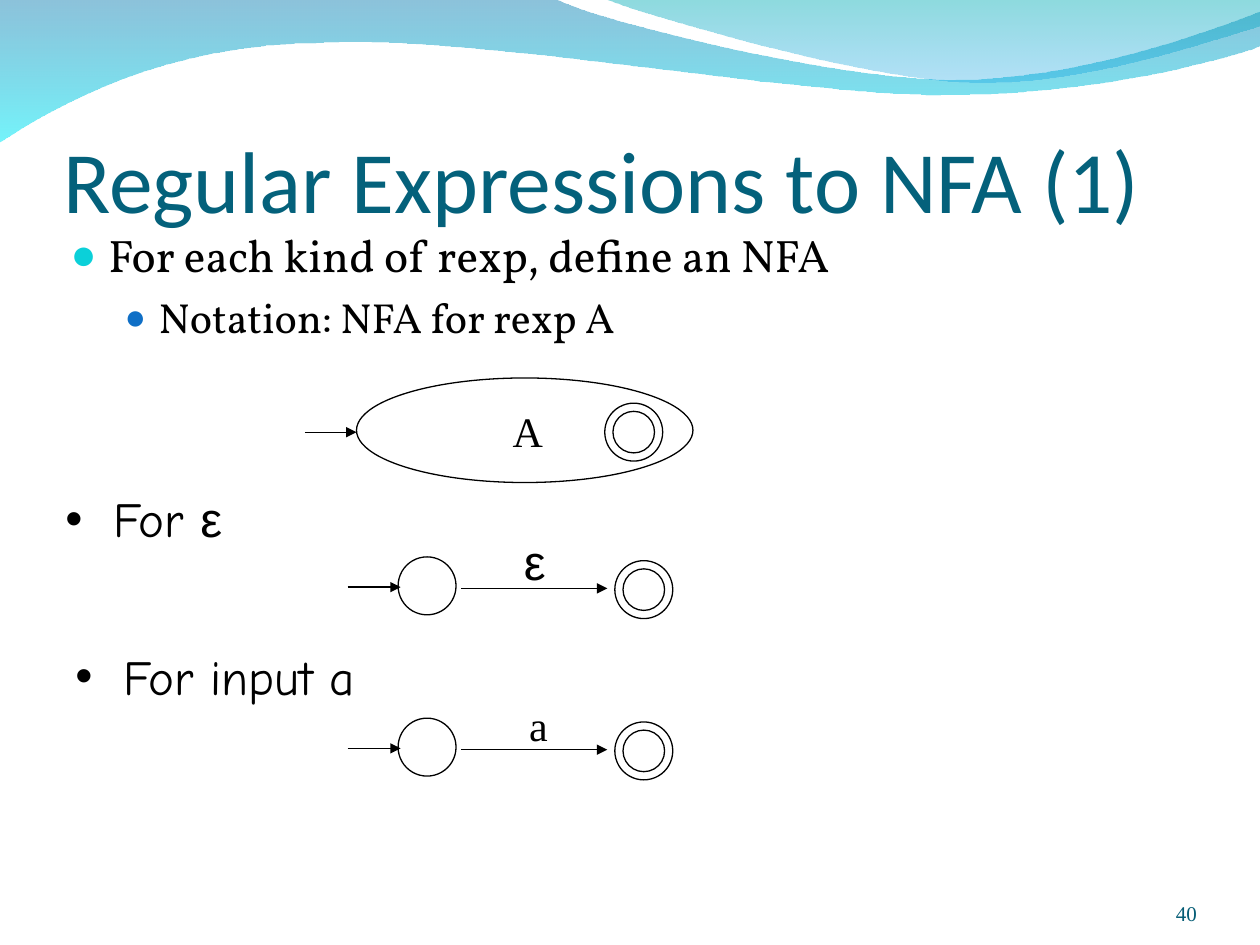
from lxml import etree
from pptx import Presentation
from pptx.dml.color import RGBColor
from pptx.enum.shapes import MSO_CONNECTOR, MSO_SHAPE
from pptx.enum.text import MSO_ANCHOR, MSO_AUTO_SIZE, PP_ALIGN
from pptx.oxml.ns import qn
from pptx.util import Inches, Pt

STRAIGHT, OVAL = MSO_CONNECTOR.STRAIGHT, MSO_SHAPE.OVAL
BOTTOM, TOP = MSO_ANCHOR.BOTTOM, MSO_ANCHOR.TOP
LEFT, RIGHT = PP_ALIGN.LEFT, PP_ALIGN.RIGHT
NO_FIT = MSO_AUTO_SIZE.NONE

THEME = {
    "ink": RGBColor.from_string("000000"),
    "title": {"name": "Calibri", "size": Pt(50), "color": "04617B"},
    "body": {"name": "Vollkorn", "size": Pt(26), "color": "000000"},
    "sub": {"name": "Vollkorn", "size": Pt(24), "color": "000000"},
    "case": {"name": "Comic Neue", "size": Pt(28), "color": "000000"},
    "epsilon": {"name": "Arial", "size": Pt(28), "color": "000000"},
    "symbol": {"name": "Times New Roman", "size": Pt(24), "color": "000000"},
    "number": {"name": "Times New Roman", "size": Pt(12), "color": "045C75"},
    "bullets": ("0BD0D9", "0F6FC6", "000000"),
    "wave": (("0079AF", 45), ("00EBF8", 55)),
    "crest": (("00ADB6", 45), ("009BE5", 30)),
    "line": Pt(0.75),
}


def write(tf, paragraphs, **frame):
    """Fill a text frame; a paragraph is (runs, format, bullet), a run (text, style).

    A bullet is (sign, colour, size in percent, left margin, hanging indent).
    """
    frame = {"auto_size": NO_FIT, "word_wrap": True, "vertical_anchor": TOP} | frame
    for name, value in frame.items():
        setattr(tf, name, value)
    for i, (runs, fmt, bullet) in enumerate(paragraphs):
        p = tf.add_paragraph() if i else tf.paragraphs[0]
        for name, value in fmt.items():
            setattr(p, name, value)
        if bullet:
            sign, color, percent, margin, hanging = bullet
            pPr = p._p.get_or_add_pPr()
            pPr.set("marL", str(Inches(margin)))
            pPr.set("indent", str(-Inches(hanging)))
            buClr = etree.SubElement(pPr, qn("a:buClr"))
            etree.SubElement(buClr, qn("a:srgbClr"), val=color)
            etree.SubElement(pPr, qn("a:buSzPct"), val=str(percent * 1000))
            etree.SubElement(pPr, qn("a:buFont"), typeface="Arial")
            etree.SubElement(pPr, qn("a:buChar"), char=sign)
        for text, style in runs:
            r = p.add_run()
            r.text = text
            r.font.name, r.font.size = THEME[style]["name"], THEME[style]["size"]
            r.font.color.rgb = RGBColor.from_string(THEME[style]["color"])


def add_outline(shapes, start, segments):
    """Add a closed freeform; a segment is one point (line) or three (cubic curve)."""
    builder = shapes.build_freeform(*map(Inches, start))
    builder.add_line_segments(
        [tuple(map(Inches, point)) for seg in segments for point in seg], close=True)
    sp = builder.convert_to_shape()
    lines = iter(list(sp._element.iter(qn("a:lnTo"))))
    for seg in segments:
        first, *rest = [next(lines) for _ in seg]
        if rest:
            first.tag = qn("a:cubicBezTo")
        for line in rest:
            first.append(line[0])
            line.getparent().remove(line)
    return sp


prs = Presentation()
prs.slide_width, prs.slide_height = Inches(10), Inches(7.5)
s = prs.slides.add_slide(prs.slide_layouts[1])
title, body = s.placeholders

# Waves along the top edge
waves = [
    ("wave", (0, -0.01), [
        [(4.4, -0.01)],
        [(4.76, 0.17), (6.64, 0.63), (7.58, 0.63)],
        [(8.53, 0.63), (9.58, 0.26), (10, 0.09)],
        [(10.01, 0.36)],
        [(9.83, 0.44), (8.7, 0.76), (7.46, 0.75)],
        [(6.22, 0.75), (3.82, 0.28), (2.57, 0.34)],
        [(1.29, 0.35), (0.46, 0.83), (-0.01, 1.13)]]),
    ("crest", (4.79, -0.01), [
        [(5.09, 0.11), (6.82, 0.62), (7.69, 0.65)],
        [(8.56, 0.69), (9.61, 0.32), (10, 0.21)],
        [(10, 0)]]),
]
for key, start, segments in waves:
    sp = add_outline(s.shapes, start, segments)
    sp.shadow.inherit = False
    sp.line.fill.background()
    sp.fill.gradient()
    sp.fill.gradient_angle = 270
    for stop, (color, _) in zip(sp.fill.gradient_stops, THEME[key]):
        stop.color.rgb = RGBColor.from_string(color)
    colors = sp._element.spPr.iter(qn("a:srgbClr"))
    for srgb, (_, opacity) in zip(list(colors), THEME[key]):
        etree.SubElement(srgb, qn("a:alpha"), val=str(opacity * 1000))

# Title and list
places = [(title, (0.5, 0.58, 9, 1.25)), (body, (0.46, 1.75, 9.08, 1.08))]
for sp, place in places:
    sp.left, sp.top, sp.width, sp.height = map(Inches, place)
write(title.text_frame,
      [([("Regular Expressions to NFA (1)", "title")], {"alignment": LEFT}, None)],
      vertical_anchor=BOTTOM, margin_left=0, margin_right=0, margin_bottom=0)
first, second, plain = THEME["bullets"]
write(body.text_frame, [
    ([("For each kind of rexp, define an NFA", "body")],
     {"space_before": Pt(6.5)}, ("●", first, 95, 0.3, 0.3)),
    ([("Notation: NFA for rexp A", "sub")],
     {"level": 1, "space_before": Pt(6)}, ("●", second, 85, 0.7, 0.27)),
])

# Case headings
cases = [
    (0.42, 3.83, [("For ", "case"), ("ε", "epsilon")]),
    (0.5, 5.08, [("For input a", "case")]),
]
for x, y, runs in cases:
    tb = s.shapes.add_textbox(Inches(x), Inches(y), Inches(9.08), Inches(0.67))
    write(tb.text_frame,
          [(runs, {"space_before": Pt(7)}, ("•", plain, 100, 0.38, 0.38))])

# Automata: one row per symbol below the general one
STATE, INNER = 0.46, 0.33
RING = (STATE - INNER) / 2
ovals = [(2.83, 3, 2.67, 0.83)]
finals = [(4.8, 3.2)]
arrows = [(2.42, 2.83, 3.43)]
for y in (4.42, 5.7):
    ovals.append((3.16, y, STATE, STATE))
    finals.append((4.88, y + 0.03))
    arrows += [(2.76, 3.18, y + 0.24), (3.66, 4.82, y + 0.25)]
for x, y in finals:
    ovals += [(x, y, STATE, STATE), (x + RING, y + RING, INNER, INNER)]

for place in ovals:
    sp = s.shapes.add_shape(OVAL, *map(Inches, place))
    sp.shadow.inherit = False
    sp.fill.background()
    sp.line.color.rgb, sp.line.width = THEME["ink"], THEME["line"]

for x1, x2, y in arrows:
    c = s.shapes.add_connector(STRAIGHT, Inches(x1), Inches(y), Inches(x2), Inches(y))
    c.line.color.rgb, c.line.width = THEME["ink"], THEME["line"]
    etree.SubElement(c.line._get_or_add_ln(), qn("a:tailEnd"), type="triangle")
    etree.SubElement(c._element.spPr, qn("a:effectLst"))

labels = [
    ("A", "symbol", (3.97, 3.17, 0.44, 0.5)),
    ("ε", "epsilon", (4.06, 4.17, 0.37, 0.57)),
    ("a", "symbol", (4.1, 5.5, 0.35, 0.5)),
]
for text, style, place in labels:
    tb = s.shapes.add_textbox(*map(Inches, place))
    write(tb.text_frame, [([(text, style)], {}, None)], word_wrap=False)

# Slide number
tb = s.shapes.add_textbox(Inches(8.67), Inches(6.95), Inches(0.83), Inches(0.4))
write(tb.text_frame, [([("40", "number")], {"alignment": RIGHT}, None)],
      vertical_anchor=BOTTOM, margin_left=0, margin_top=0, margin_right=0,
      margin_bottom=0)

prs.save("out.pptx")
